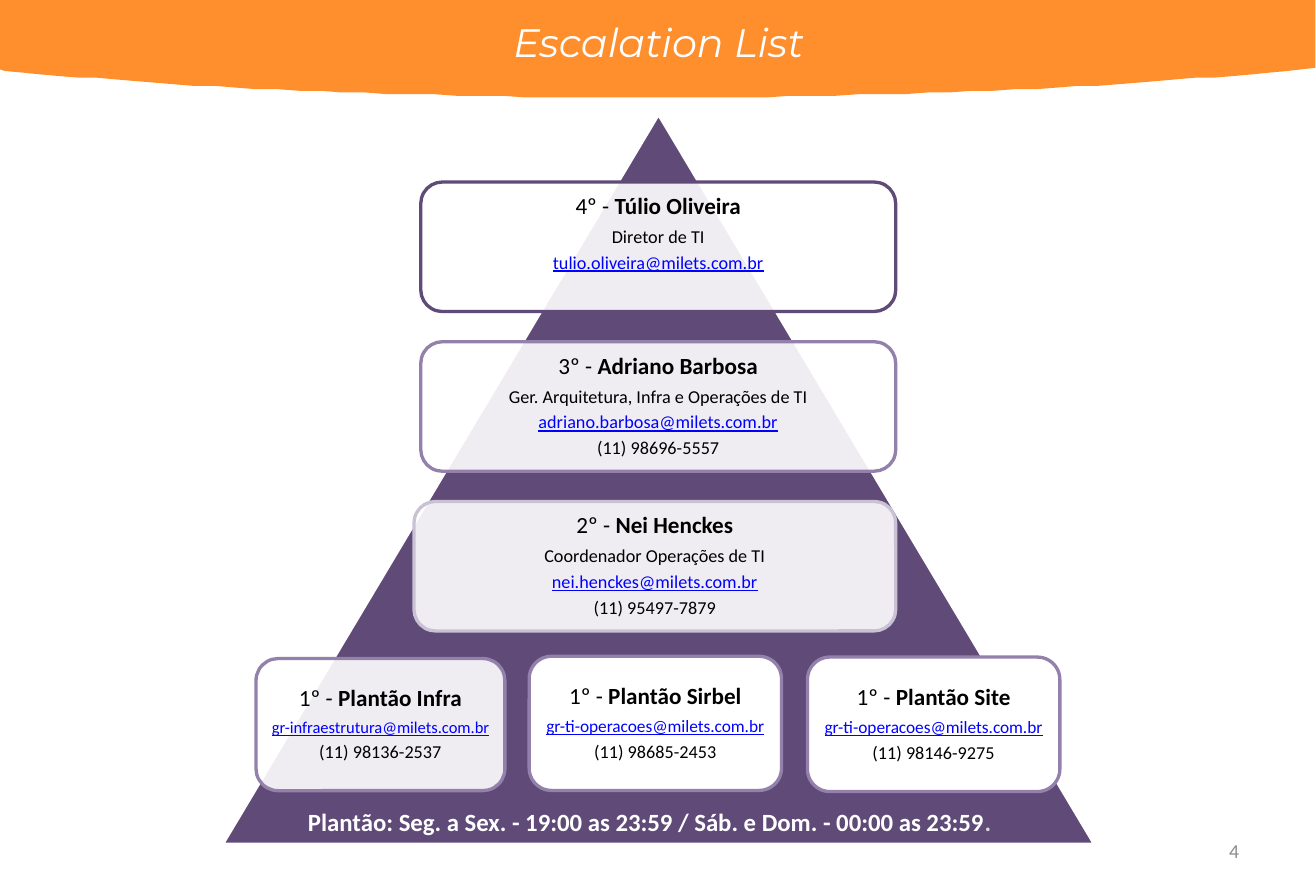
from lxml import etree
from pptx import Presentation
from pptx.dml.color import RGBColor
from pptx.enum import shapes, text
from pptx.oxml.ns import qn
from pptx.util import Pt

WIDTH, HEIGHT = 796.32, 540
ORANGE, PURPLE, LILAC, PALE = "FF8E2D", "5F4A78", "9380AB", "C9C2D4"
WHITE, BLACK, LINK, GREY = "FFFFFF", "000000", "0000FF", "8C8C8C"

TITLE = "Escalation List"
PAGE = "4"
HOURS = "Plantão: Seg. a Sex. - 19:00 as 23:59 / Sáb. e Dom. - 00:00 as 23:59"
DOMAIN = "@milets.com.br"

# rank, name, role, mailbox, phone, left, width, border
MANAGERS = [
    ("4º", "Túlio Oliveira", "Diretor de TI", "tulio.oliveira", "",
     254.6, 287.4, PURPLE),
    ("3º", "Adriano Barbosa", "Ger. Arquitetura, Infra e Operações de TI",
     "adriano.barbosa", "(11) 98696-5557", 254.6, 287.4, LILAC),
    ("2º", "Nei Henckes", "Coordenador Operações de TI", "nei.henckes",
     "(11) 95497-7879", 250.5, 291.5, PALE),
]
MANAGER_TOP, MANAGER_STEP, MANAGER_HEIGHT = 110.2, 96.7, 78.4

# name, mailbox, mail size, phone, box, opacity
ON_CALL = [
    ("Plantão Infra", "gr-infraestrutura", 10, "(11) 98136-2537",
     (154.9, 398.7, 150.6, 80), 90),
    ("Plantão Sirbel", "gr-ti-operacoes", 10.5, "(11) 98685-2453",
     (320.2, 397.3, 152.7, 81.2), 100),
    ("Plantão Site", "gr-ti-operacoes", 10.5, "(11) 98146-9275",
     (488.6, 397.8, 152.7, 81.4), 100),
]

# Lower edge of the banner, right to left, as two Bézier arcs
BANNER_ARCS = [
    [(778.9, 42.6), (673.9, 53.1), (538.6, 59), (391, 59)],
    [(391, 59), (243.4, 59), (108, 53.1), (2.9, 42.6)],
]
ARC_STEPS = 30

INSET = 4.3
SPACE_AFTER = 0.35


def color(hex_code):
    return RGBColor.from_string(hex_code)


def style(shape, fill, line=None):
    shape.shadow.inherit = False
    shape.fill.solid()
    shape.fill.fore_color.rgb = color(fill)
    if line:
        shape.line.color.rgb = color(line)
        shape.line.width = Pt(2)
    else:
        shape.line.fill.background()


def set_font(font, size, ink, name="Calibri", **flags):
    font.size, font.name = Pt(size), name
    font.color.rgb = color(ink)
    for flag, value in flags.items():
        setattr(font, flag, value)


def add_label(slide, box, content, align, size, ink, **font):
    frame = slide.shapes.add_textbox(*map(Pt, box)).text_frame
    frame.word_wrap = True
    paragraph = frame.paragraphs[0]
    paragraph.text, paragraph.alignment = content, align
    set_font(paragraph.font, size, ink, **font)
    return frame


def bezier(arc, t):
    weights = ((1 - t) ** 3, 3 * t * (1 - t) ** 2, 3 * t ** 2 * (1 - t), t ** 3)
    return tuple(sum(w * p[axis] for w, p in zip(weights, arc)) for axis in (0, 1))


def add_banner(slide):
    curve = [bezier(arc, i / ARC_STEPS)
             for arc in BANNER_ARCS for i in range(ARC_STEPS + 1)]
    outline = [(WIDTH, 0), (WIDTH, 41), *curve, (0, 42.5)]
    builder = slide.shapes.build_freeform(0, 0, scale=Pt(1))
    builder.add_line_segments(outline, close=True)
    style(builder.convert_to_shape(), ORANGE)


def add_card(slide, box, border, opacity, rank, name, details, room_below=0):
    """Details are (text, size, is_link); room_below lifts the centred text."""
    card = slide.shapes.add_shape(
        shapes.MSO_SHAPE.ROUNDED_RECTANGLE, *map(Pt, box))
    style(card, WHITE, border)
    if opacity < 100:
        rgb = card.fill._xPr.find(qn("a:solidFill"))[0]
        etree.SubElement(rgb, qn("a:alpha"), val=str(opacity * 1000))

    frame = card.text_frame
    frame.word_wrap = True
    frame.vertical_anchor = text.MSO_ANCHOR.MIDDLE
    frame.margin_left = frame.margin_right = frame.margin_top = Pt(INSET)
    frame.margin_bottom = Pt(INSET + room_below)

    heading = frame.paragraphs[0]
    heading.add_run().text = f"{rank} - "
    person = heading.add_run()
    person.text, person.font.bold = name, True
    rows = [(heading, 14, False)]
    for content, size, is_link in details:
        paragraph = frame.add_paragraph()
        paragraph.text = content
        rows.append((paragraph, size, is_link))
    for paragraph, size, is_link in rows:
        paragraph.alignment = text.PP_ALIGN.CENTER
        paragraph.line_spacing = 0.9
        paragraph.space_after = Pt(SPACE_AFTER * size)
        set_font(paragraph.font, size, LINK if is_link else BLACK,
                 underline=is_link)


def main():
    deck = Presentation()
    deck.slide_width, deck.slide_height = Pt(WIDTH), Pt(HEIGHT)
    slide = deck.slides.add_slide(deck.slide_layouts[6])

    add_banner(slide)
    add_label(slide, (183.6, 7.2, 429.8, 36), TITLE, text.PP_ALIGN.CENTER,
              24, WHITE, name="Montserrat", italic=True)
    page = add_label(slide, (571, 500.4, 185.8, 28.8), PAGE,
                     text.PP_ALIGN.RIGHT, 12, GREY)
    page.vertical_anchor = text.MSO_ANCHOR.MIDDLE

    pyramid = slide.shapes.add_shape(
        shapes.MSO_SHAPE.ISOSCELES_TRIANGLE,
        Pt(134.6), Pt(69.1), Pt(527.8), Pt(442.1))
    style(pyramid, PURPLE, WHITE)

    for row, (rank, name, role, mailbox, phone, left, width, border) in enumerate(MANAGERS):
        details = [(role, 11, False), (mailbox + DOMAIN, 11, True)]
        if phone:
            details.append((phone, 11, False))
        box = (left, MANAGER_TOP + row * MANAGER_STEP, width, MANAGER_HEIGHT)
        add_card(slide, box, border, 90, rank, name, details,
                 room_below=0 if phone else 16)

    for name, mailbox, mail_size, phone, box, opacity in ON_CALL:
        details = [(mailbox + DOMAIN, mail_size, True), (phone, 11, False)]
        add_card(slide, box, LILAC, opacity, "1º", name, details)

    hours = add_label(slide, (179.3, 484.6, 434.2, 44.6), HOURS,
                      text.PP_ALIGN.LEFT, 15, WHITE, bold=True)
    full_stop = hours.paragraphs[0].add_run()
    full_stop.text = "."
    full_stop.font.color.rgb = color("D9D9D9")

    deck.save("out.pptx")


if __name__ == "__main__":
    main()
